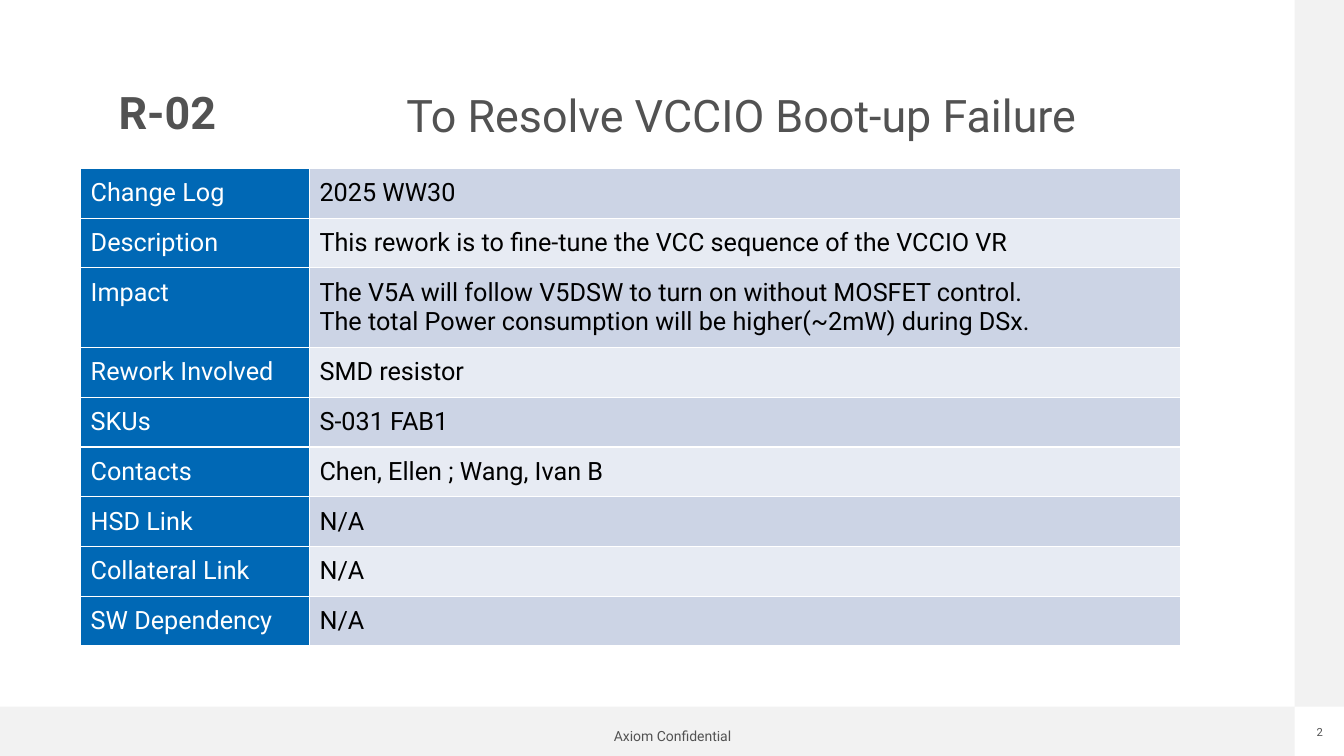
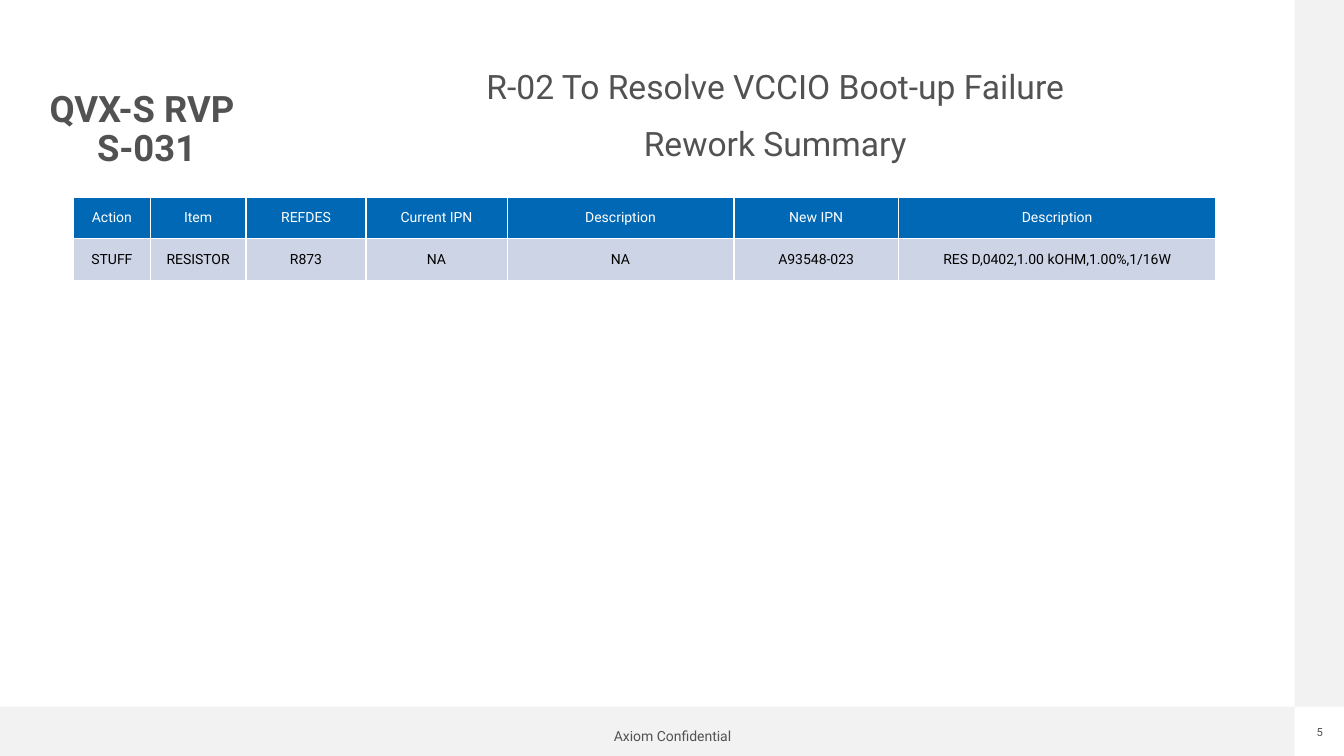
from dataclasses import dataclass

import pptx
import pptx.dml.color
import pptx.enum.shapes
import pptx.enum.text
import pptx.oxml
import pptx.oxml.ns
import pptx.util
from pptx.util import Inches

ALIGN = pptx.enum.text.PP_ALIGN
ANCHOR = pptx.enum.text.MSO_ANCHOR


@dataclass(frozen=True)
class Theme:
    font: str = "Roboto"
    # Colours
    ink: str = "525252"
    band: str = "F2F2F2"
    header: str = "0068B5"
    row_dark: str = "CCD4E5"
    row_light: str = "E7EBF3"
    white: str = "FFFFFF"
    black: str = "000000"
    # Type sizes
    heading: int = 32
    code_small: int = 26
    heading_small: int = 24
    details: int = 18
    summary: int = 10
    footer: int = 10
    page: int = 8


def rgb(colour):
    return pptx.dml.color.RGBColor.from_string(colour)


class Deck:
    """Holds the theme, the presentation and the slide being built."""

    TITLE_ONLY = 5
    FOOTER_TOP = 7.01
    SIDE_LEFT = 12.84
    BAND = 0.49

    def __init__(self, theme):
        self.theme = theme
        self.presentation = pptx.Presentation()
        self.presentation.slide_width = Inches(13.33)
        self.presentation.slide_height = Inches(7.5)
        self.slide = None

    def new_slide(self, page):
        layout = self.presentation.slide_layouts[self.TITLE_ONLY]
        self.slide = self.presentation.slides.add_slide(layout)
        self.band(0, self.FOOTER_TOP, self.SIDE_LEFT, self.BAND)
        self.band(self.SIDE_LEFT, 0, self.BAND, self.FOOTER_TOP)
        self.text(["Axiom Confidential"], (6.02, 7.23, 1.3, 0.15), self.theme.footer, wrap=False)
        self.text([page], (13.02, 7.2, 0.14, 0.13), self.theme.page, wrap=False)

    def band(self, left, top, width, height):
        band = self.slide.shapes.add_shape(
            pptx.enum.shapes.MSO_SHAPE.RECTANGLE,
            Inches(left), Inches(top), Inches(width), Inches(height))
        band.shadow.inherit = False
        band.fill.solid()
        band.fill.fore_color.rgb = rgb(self.theme.band)
        band.line.fill.background()

    def style(self, paragraph, size, colour, bold=False, align=ALIGN.CENTER):
        paragraph.alignment = align
        paragraph.font.name = self.theme.font
        paragraph.font.size = pptx.util.Pt(size)
        paragraph.font.bold = bold
        paragraph.font.color.rgb = rgb(colour)

    def fill_frame(self, frame, lines, size, bold=False, wrap=True):
        frame.text = "\n".join(lines)
        frame.word_wrap = wrap
        frame.auto_size = pptx.enum.text.MSO_AUTO_SIZE.NONE
        frame.vertical_anchor = ANCHOR.MIDDLE
        frame.margin_left = frame.margin_right = 0
        frame.margin_top = frame.margin_bottom = 0
        for paragraph in frame.paragraphs:
            self.style(paragraph, size, self.theme.ink, bold)

    def text(self, lines, box, size, wrap=True, space_before=0):
        words = self.slide.shapes.add_textbox(*map(Inches, box))
        self.fill_frame(words.text_frame, lines, size, wrap=wrap)
        for paragraph in words.text_frame.paragraphs:
            paragraph.space_before = pptx.util.Pt(space_before)

    def title(self, code, box, size):
        title = self.slide.shapes.title
        title.left, title.top, title.width, title.height = map(Inches, box)
        self.fill_frame(title.text_frame, [code], size, bold=True)
        title.text_frame.paragraphs[0].line_spacing = 0.9

    def subject(self, lines, width, size):
        self.text(lines, (2.71, 0.62, width, 1.04), size, space_before=12)

    def table(self, rows, left, top, widths, heights):
        frame = self.slide.shapes.add_table(
            len(rows), len(widths), Inches(left), Inches(top),
            Inches(sum(widths)), Inches(sum(heights)))
        grid = frame.table
        grid.first_row = grid.horz_banding = False
        for column, width in zip(grid.columns, widths):
            column.width = Inches(width)
        for row, height in zip(grid.rows, heights):
            row.height = Inches(height)
        return grid

    def cell(self, cell, words, size, fill, colour, align, anchor):
        cell.text = words
        cell.vertical_anchor = anchor
        for paragraph in cell.text_frame.paragraphs:
            self.style(paragraph, size, colour, align=align)
        # White hairlines on all four sides
        properties = cell._tc.get_or_add_tcPr()
        for side in ("lnL", "lnR", "lnT", "lnB"):
            properties.append(pptx.oxml.parse_xml(
                f'<a:{side} {pptx.oxml.ns.nsdecls("a")} w="12700"><a:solidFill>'
                f'<a:srgbClr val="{self.theme.white}"/></a:solidFill></a:{side}>'))
        cell.fill.solid()
        cell.fill.fore_color.rgb = rgb(fill)

    def details_table(self, details):
        """Labels on the left, banded values on the right."""
        theme = self.theme
        heights = [0.79 if "\n" in value else 0.49 for _, value in details]
        grid = self.table(details, 0.8, 1.67, [2.27, 8.64], heights)
        for index, pair in enumerate(details):
            value_fill = theme.row_light if index % 2 else theme.row_dark
            looks = [(theme.header, theme.white), (value_fill, theme.black)]
            for column, (words, (fill, colour)) in enumerate(zip(pair, looks)):
                cell = grid.cell(index, column)
                cell.margin_top = cell.margin_bottom = Inches(0.1)
                self.cell(cell, words, theme.details, fill, colour, ALIGN.LEFT, ANCHOR.TOP)

    def summary_table(self, rows, widths):
        """Header row on top, centred values below."""
        theme = self.theme
        grid = self.table(rows, 0.73, 1.96, widths, [0.41] * len(rows))
        for index, row in enumerate(rows):
            fill, colour = (theme.row_dark, theme.black) if index else (theme.header, theme.white)
            for column, words in enumerate(row):
                self.cell(grid.cell(index, column), words, theme.summary,
                          fill, colour, ALIGN.CENTER, ANCHOR.MIDDLE)


def main():
    theme = Theme()
    deck = Deck(theme)

    # Rework overview
    deck.new_slide("2")
    deck.title("R-02", (0.62, 0.62, 2.08, 1.04), theme.heading)
    deck.details_table([
        ("Change Log", "2025 WW30"),
        ("Description", "This rework is to fine-tune the VCC sequence of the VCCIO VR"),
        ("Impact", "The V5A will follow V5DSW to turn on without MOSFET control.\n"
                   "The total Power consumption will be higher(~2mW) during DSx."),
        ("Rework Involved", "SMD resistor"),
        ("SKUs", "S-031 FAB1"),
        ("Contacts", "Chen, Ellen ; Wang, Ivan B"),
        ("HSD Link", "N/A"),
        ("Collateral Link", "N/A"),
        ("SW Dependency", "N/A"),
    ])
    deck.subject(["To Resolve VCCIO Boot-up Failure"], 9.29, theme.heading)

    # Rework summary
    deck.new_slide("5")
    deck.title("QVX-S RVP \vS-031", (0, 0.77, 2.91, 1.04), theme.code_small)
    deck.summary_table([
        ("Action", "Item", "REFDES", "Current IPN", "Description", "New IPN", "Description"),
        ("STUFF", "RESISTOR", "R873", "NA", "NA", "A93548-023",
         "RES D,0402,1.00 kOHM,1.00%,1/16W"),
    ], [0.76, 0.95, 1.19, 1.4, 2.25, 1.63, 3.15])
    deck.subject(["R-02 To Resolve VCCIO Boot-up Failure", "Rework Summary"],
                 9.96, theme.heading_small)

    deck.presentation.save("out.pptx")


if __name__ == "__main__":
    main()
